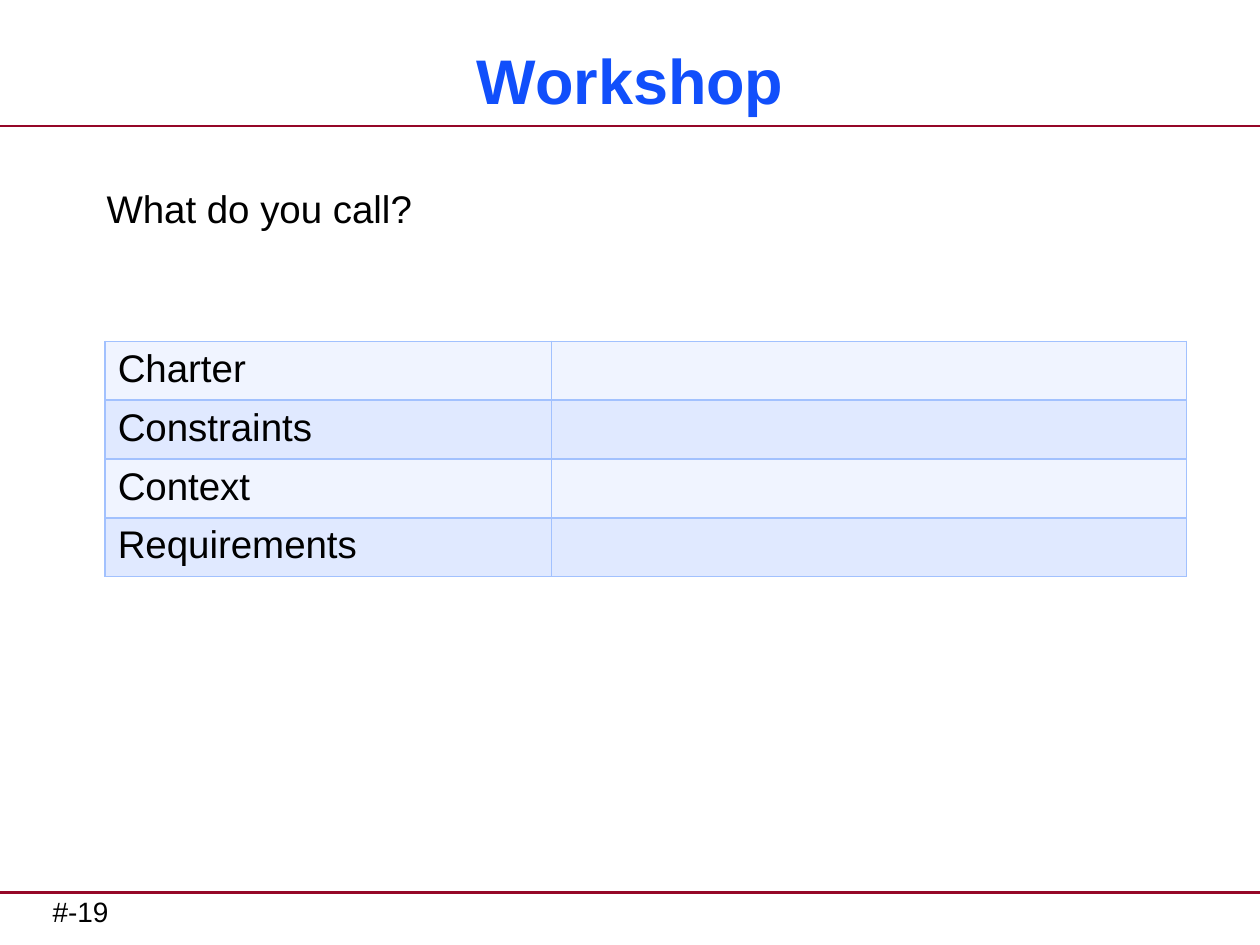
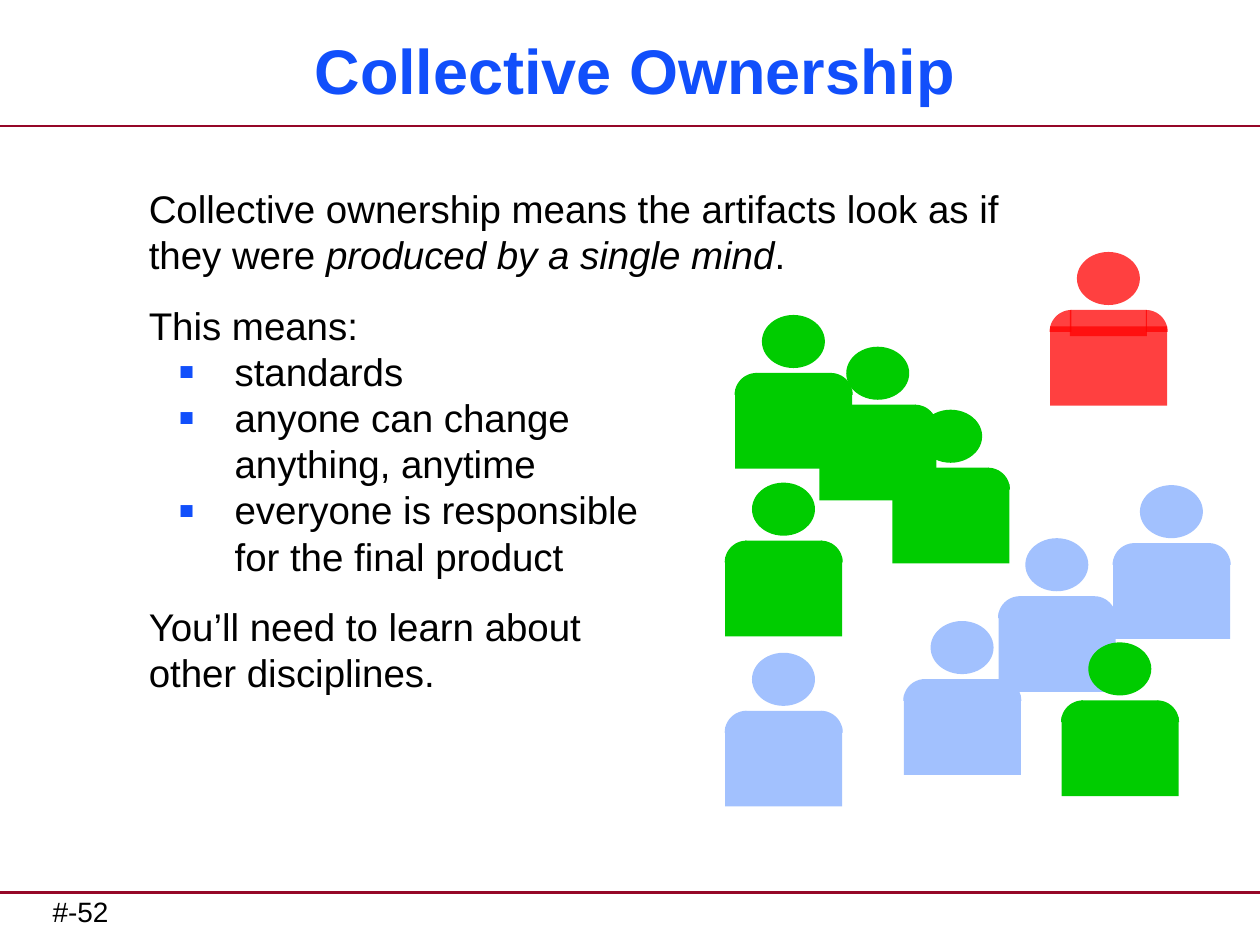
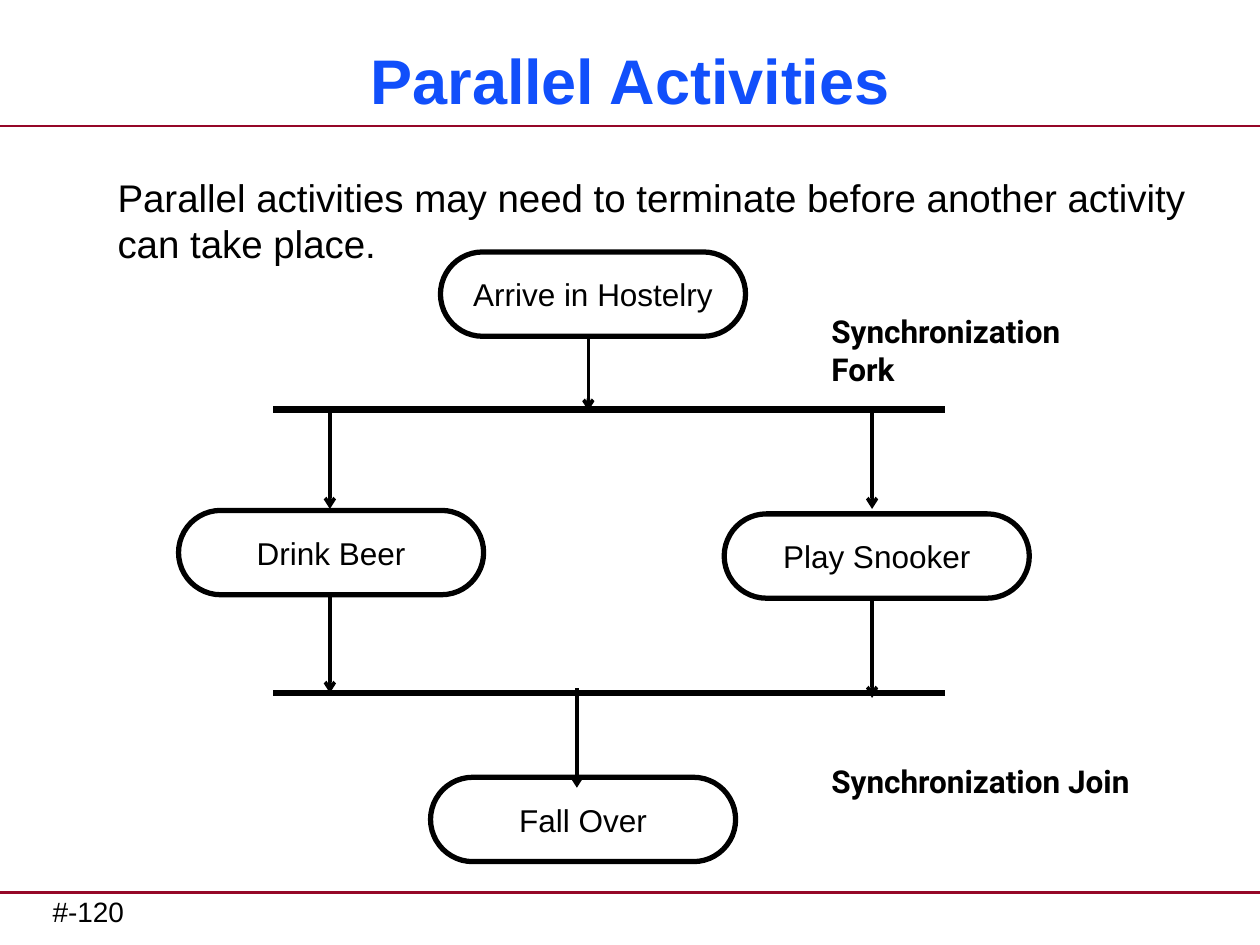
from math import cos, pi, sin

from lxml.etree import SubElement
from pptx import Presentation
from pptx.dml.color import RGBColor
from pptx.enum.shapes import MSO_CONNECTOR, MSO_SHAPE
from pptx.enum.text import MSO_ANCHOR, MSO_AUTO_SIZE, PP_ALIGN
from pptx.oxml.ns import qn
from pptx.util import Cm, Pt

BLUE = RGBColor(0x11, 0x4F, 0xFB)
CRIMSON = RGBColor(0x95, 0x07, 0x28)
BLACK = RGBColor(0, 0, 0)
LIGHT_BLUE = RGBColor(0xA2, 0xC1, 0xFE)
GREEN = RGBColor(0, 0xCC, 0)
RED = RGBColor(0xFF, 0, 0)
ROW_TINTS = (RGBColor(0xF0, 0xF4, 0xFF), RGBColor(0xE0, 0xE9, 0xFF))

SLIDE_WIDTH, SLIDE_HEIGHT = 25.4, 19.05
RULE_HEIGHTS = (2.54, 17.99)
TITLE_BOX = (0.43, 0.64, 24.55, 1.9)
FOOTER_BOX = (1.06, 17.9, 12.27, 0.94)

TITLE_FONT = {"name": "Arial", "size": Pt(36), "bold": True}
BODY_FONT = {"name": "Arial", "size": Pt(22)}
FOOTER_FONT = {"name": "Arial", "size": Pt(16)}
ACTIVITY_FONT = {"name": "Arial", "size": Pt(18)}
LABEL_FONT = {"name": "Roboto", "size": Pt(18), "bold": True}

OWNERSHIP_TEXT = [
    ("text", "Collective ownership means the artifacts look as if they were "),
    ("text", "This means:"),
    ("bullet", "standards"),
    ("bullet", "anyone can change\vanything, anytime"),
    ("bullet", "everyone is responsible\vfor the final product"),
    ("text", "You’ll need to learn about\vother disciplines."),
]

# Colour, opacity in percent, and the top left corner of each person
CREWS = [
    (LIGHT_BLUE, 100, [(22.43, 9.78), (20.12, 10.85), (18.21, 12.52), (14.61, 13.16)]),
    (GREEN, 100, [(14.81, 6.35), (16.51, 6.99), (14.61, 9.73), (17.98, 8.26),
                  (21.39, 12.95)]),
    (RED, 75, [(21.16, 5.08)]),
]
PERSON_PARTS = [
    (MSO_SHAPE.OVAL, (0.55, 0, 1.27, 1.07)),
    (MSO_SHAPE.RECTANGLE, (0.41, 1.17, 1.55, 0.53)),
    (MSO_SHAPE.RECTANGLE, (0.01, 1.5, 2.36, 1.6)),
]
SHOULDER_RADIUS, SHOULDER_BOTTOM = 0.44, 1.61
SHOULDERS = [(0.44, -1), (1.94, 1)]

ACTIVITY_SIZE = (6.15, 1.7)
ACTIVITIES = [
    ("Drink Beer", (0, 5.21)),
    ("Play Snooker", (11, 5.28)),
    ("Arrive in Hostelry", (5.28, 0)),
    ("Fall Over", (5.08, 10.59)),
]
BAR_SPAN = (1.91, 15.45)
BAR_HEIGHTS = (3.17, 8.89)
# x, start y and end y of each flow
FLOWS = [
    (8.26, 1.7, 3.2),
    (3.05, 3.17, 5.18),
    (13.98, 3.17, 5.18),
    (3.05, 6.88, 8.89),
    (13.98, 6.98, 8.99),
    (8.03, 8.79, 10.8),
]
LABELS = [("Synchronization Fork", 1.09), ("Synchronization Join", 10.16)]


def cm(values):
    return [Cm(value) for value in values]


def format_font(font, values, color=BLACK):
    for name, value in values.items():
        setattr(font, name, value)
    font.color.rgb = color


def add_text(slide, box, text, font, side_inset=0.25):
    frame = slide.shapes.add_textbox(*cm(box)).text_frame
    frame.word_wrap = True
    frame.margin_left = frame.margin_right = Cm(side_inset)
    frame.text = text
    format_font(frame.paragraphs[0].font, font)
    return frame


def add_line(slide, start, end, color, width, arrow=False):
    line = slide.shapes.add_connector(MSO_CONNECTOR.STRAIGHT, *cm(start + end))
    line.line.color.rgb = color
    line.line.width = Pt(width)
    properties = line._element.spPr
    if arrow:
        SubElement(properties.find(qn("a:ln")), qn("a:tailEnd"), type="arrow")
    SubElement(properties, qn("a:effectLst"))


def add_titled_slide(deck, title, number, title_box=TITLE_BOX):
    slide = deck.slides.add_slide(deck.slide_layouts[5])
    heading = slide.shapes.title
    heading.left, heading.top, heading.width, heading.height = cm(title_box)
    frame = heading.text_frame
    frame.text = title
    frame.auto_size = MSO_AUTO_SIZE.NONE
    frame.vertical_anchor = MSO_ANCHOR.MIDDLE
    frame.paragraphs[0].alignment = PP_ALIGN.CENTER
    format_font(frame.paragraphs[0].font, TITLE_FONT, BLUE)
    for height in RULE_HEIGHTS:
        add_line(slide, (0, height), (SLIDE_WIDTH, height), CRIMSON, 1.5)
    add_text(slide, FOOTER_BOX, f"#-{number}", FOOTER_FONT, side_inset=0)
    return slide


def set_borders(cell, color):
    properties = cell._tc.get_or_add_tcPr()
    for position, side in enumerate(("lnL", "lnR", "lnT", "lnB")):
        border = SubElement(properties, qn(f"a:{side}"), w=str(Pt(1)))
        fill = SubElement(border, qn("a:solidFill"))
        SubElement(fill, qn("a:srgbClr"), val=str(color))
        properties.insert(position, border)


def add_term_table(slide, box, terms):
    left, top, width, row_height = box
    table = slide.shapes.add_table(
        len(terms), 2, *cm((left, top, width, row_height * len(terms)))).table
    table.first_row = table.horz_banding = False
    term_width = 9
    table.columns[0].width, table.columns[1].width = cm((term_width, width - term_width))
    for index, term in enumerate(terms):
        for cell, text in zip(table.rows[index].cells, (term, "")):
            cell.text = text
            format_font(cell.text_frame.paragraphs[0].font, BODY_FONT)
            cell.fill.solid()
            cell.fill.fore_color.rgb = ROW_TINTS[index % 2]
            set_borders(cell, LIGHT_BLUE)


def add_bullet(paragraph):
    properties = paragraph._p.get_or_add_pPr()
    properties.set("marL", str(Cm(1.73)))
    properties.set("indent", str(Cm(-1.14)))
    color = SubElement(properties, qn("a:buClr"))
    SubElement(color, qn("a:srgbClr"), val=str(BLUE))
    SubElement(properties, qn("a:buSzPct"), val="125000")
    SubElement(properties, qn("a:buFont"), typeface="Arial")
    SubElement(properties, qn("a:buChar"), char="▪")


def add_ownership_text(slide, box):
    frame = add_text(slide, box, "", BODY_FONT)
    for index, (kind, text) in enumerate(OWNERSHIP_TEXT):
        paragraph = frame.add_paragraph() if index else frame.paragraphs[0]
        paragraph.text = text
        if kind == "bullet":
            add_bullet(paragraph)
        elif index:
            paragraph.space_before = Pt(14)
        format_font(paragraph.font, BODY_FONT)
    opening = frame.paragraphs[0]
    for text, italic in (("produced by a single mind", True), (".", False)):
        run = opening.add_run()
        run.text = text
        run.font.italic = italic


def paint(shape, color, opacity):
    shape.shadow.inherit = False
    shape.line.fill.background()
    shape.fill.solid()
    shape.fill.fore_color.rgb = color
    if opacity < 100:
        tint = shape._element.spPr.find(qn("a:solidFill")).find(qn("a:srgbClr"))
        SubElement(tint, qn("a:alpha"), val=str(opacity * 1000))


def add_shoulder(shapes, center_x, center_y, side, steps=12):
    """Add a quarter disc that opens to the left (-1) or right (1)."""
    angles = [pi / 2 * step / steps for step in range(steps + 1)]
    arc = [cm((center_x + side * SHOULDER_RADIUS * cos(angle),
               center_y - SHOULDER_RADIUS * sin(angle))) for angle in angles]
    builder = shapes.build_freeform(Cm(center_x), Cm(center_y))
    builder.add_line_segments(arc, close=True)
    return builder.convert_to_shape()


def add_person(shapes, left, top, color, opacity):
    for preset, (x, y, width, height) in PERSON_PARTS:
        part = shapes.add_shape(preset, *cm((left + x, top + y, width, height)))
        paint(part, color, opacity)
    for x, side in SHOULDERS:
        shoulder = add_shoulder(shapes, left + x, top + SHOULDER_BOTTOM, side)
        paint(shoulder, color, opacity)


def add_crews(slide):
    for color, opacity, places in CREWS:
        crew = slide.shapes.add_group_shape()
        for left, top in places:
            add_person(crew.shapes, left, top, color, opacity)


def add_activity(slide, box, name):
    activity = slide.shapes.add_shape(MSO_SHAPE.ROUNDED_RECTANGLE, *cm(box))
    activity.adjustments[0] = 0.5
    activity.shadow.inherit = False
    activity.fill.background()
    activity.line.color.rgb = BLACK
    activity.line.width = Pt(3)
    frame = activity.text_frame
    frame.word_wrap = False
    frame.vertical_anchor = MSO_ANCHOR.MIDDLE
    frame.text = name
    frame.paragraphs[0].alignment = PP_ALIGN.CENTER
    format_font(frame.paragraphs[0].font, ACTIVITY_FONT)


def add_activity_diagram(slide, left, top):
    for name, (x, y) in ACTIVITIES:
        add_activity(slide, (left + x, top + y) + ACTIVITY_SIZE, name)
    bar_start, bar_end = BAR_SPAN
    for y in BAR_HEIGHTS:
        add_line(slide, (left + bar_start, top + y), (left + bar_end, top + y), BLACK, 4)
    for x, start, end in FLOWS:
        add_line(slide, (left + x, top + start), (left + x, top + end), BLACK, 2, arrow=True)
    for text, y in LABELS:
        add_text(slide, (left + 12.91, top + y, 6.53, 1.02), text, LABEL_FONT)


def build_workshop(deck):
    slide = add_titled_slide(deck, "Workshop", 19)
    add_text(slide, (1.9, 3.6, 22.43, 14.17), "What do you call?", BODY_FONT)
    add_term_table(slide, (2.12, 6.88, 21.8, 1.04),
                   ("Charter", "Constraints", "Context", "Requirements"))


def build_ownership(deck):
    slide = add_titled_slide(deck, "Collective Ownership", 52, (1.55, 0.64, 22.5, 1.5))
    add_ownership_text(slide, (2.75, 3.6, 18.16, 12.9))
    add_crews(slide)


def build_parallel_activities(deck):
    slide = add_titled_slide(deck, "Parallel Activities", 120)
    add_text(slide, (2.12, 3.39, 22.43, 14.17),
             "Parallel activities may need to terminate before another activity "
             "can take place.", BODY_FONT)
    add_activity_diagram(slide, 3.6, 5.08)


def main():
    deck = Presentation()
    deck.slide_width, deck.slide_height = cm((SLIDE_WIDTH, SLIDE_HEIGHT))
    build_workshop(deck)
    build_ownership(deck)
    build_parallel_activities(deck)
    deck.save("out.pptx")


if __name__ == "__main__":
    main()
